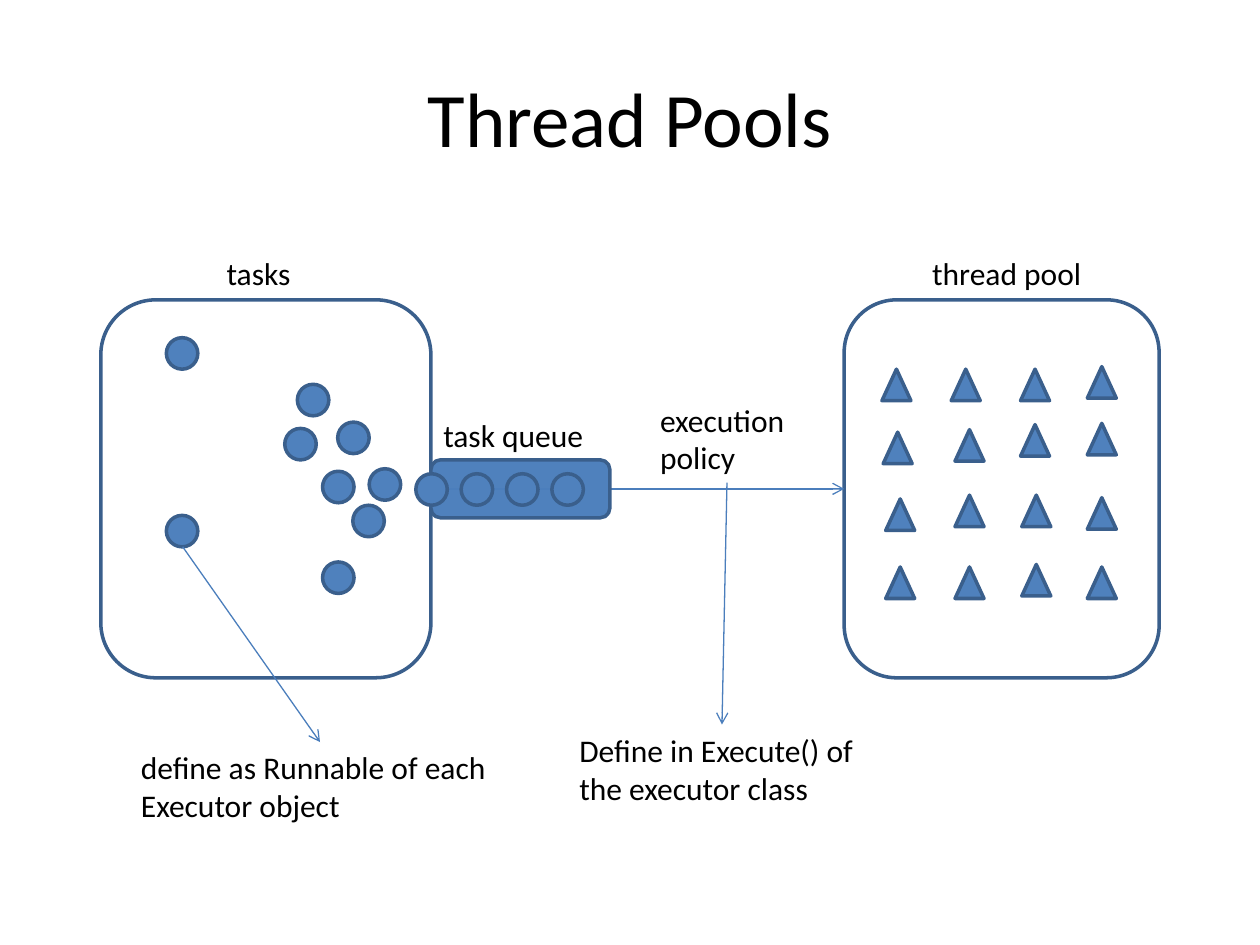
from dataclasses import dataclass

from lxml import etree
from pptx import Presentation
from pptx.dml.color import RGBColor
from pptx.enum.shapes import MSO_CONNECTOR, MSO_SHAPE
from pptx.enum.text import MSO_ANCHOR, MSO_AUTO_SIZE, PP_ALIGN
from pptx.oxml.ns import qn
from pptx.util import Inches, Pt

ROUNDED = MSO_SHAPE.ROUNDED_RECTANGLE
CIRCLE = MSO_SHAPE.OVAL
TRIANGLE = MSO_SHAPE.ISOSCELES_TRIANGLE
STRAIGHT = MSO_CONNECTOR.STRAIGHT
FIT_TEXT = MSO_AUTO_SIZE.SHAPE_TO_FIT_TEXT
CENTER = PP_ALIGN.CENTER
MIDDLE = MSO_ANCHOR.MIDDLE


@dataclass(frozen=True)
class Theme:
    font: str = "Calibri"
    title_size: int = 44
    label_size: int = 18
    text: RGBColor = RGBColor(0, 0, 0)
    fill: RGBColor = RGBColor(0x4F, 0x81, 0xBD)
    outline: RGBColor = RGBColor(0x3A, 0x5F, 0x8C)
    arrow: RGBColor = RGBColor(0x4B, 0x7E, 0xBC)
    outline_width: float = 2
    arrow_width: float = 0.75


@dataclass(frozen=True)
class Box:
    left: float
    top: float
    width: float
    height: float

    def lengths(self) -> list:
        return [Inches(value) for value in (self.left, self.top, self.width, self.height)]


@dataclass(frozen=True)
class Label:
    box: Box
    lines: tuple
    wrap: bool = False


@dataclass(frozen=True)
class Arrow:
    start: tuple
    end: tuple


THEME = Theme()
CIRCLE_SIZE = (0.25, 0.25)
TRIANGLE_SIZE = (0.23, 0.25)

TASKS_BOX = Box(0.8, 2.38, 2.62, 3)
POOL_BOX = Box(6.7, 2.38, 2.5, 3)
QUEUE_BOX = Box(3.42, 3.65, 1.42, 0.46)

# Loosely scattered tasks, as left and top
TASKS = [
    (2.26, 3.4), (1.32, 2.68), (2.56, 3.74), (1.32, 4.09), (2.68, 3.35),
    (2.8, 4.01), (2.93, 3.72), (2.36, 3.05), (2.56, 4.46),
]
QUEUED_TASKS = [(3.3 + 0.36 * index, 3.76) for index in range(4)]

# Four uneven rows of threads
THREADS = [
    (7, 2.93), (7.55, 2.93), (8.1, 2.93), (8.63, 2.91),
    (7.01, 3.43), (7.58, 3.41), (8.1, 3.37), (8.63, 3.36),
    (7.03, 3.96), (7.58, 3.93), (8.11, 3.93), (8.63, 3.95),
    (7.03, 4.5), (7.58, 4.5), (8.11, 4.48), (8.63, 4.5),
]

LABELS = [
    Label(Box(1.7, 1.97, 0.71, 0.4), ("tasks",)),
    Label(Box(7.3, 1.97, 1.4, 0.4), ("thread pool",)),
    Label(Box(3.42, 3.25, 2.17, 0.4), ("task queue",), wrap=True),
    Label(Box(5.14, 3.13, 1.26, 0.71), ("execution ", "policy")),
    Label(Box(1.02, 5.89, 3.03, 0.71), ("define as Runnable of each ", "Executor object ")),
    Label(Box(4.5, 5.75, 2.46, 0.71), ("Define in Execute() of ", "the executor class")),
]

ARROWS = [
    Arrow((4.83, 3.88), (6.7, 3.88)),
    Arrow((1.45, 4.34), (2.54, 5.89)),
    Arrow((5.77, 3.83), (5.73, 5.75)),
]
QUEUE_ARROW = Arrow((3.43, 3.88), (4.5, 3.88))


def format_paragraph(paragraph, size: int) -> None:
    formats = {"name": THEME.font, "size": Pt(size), "bold": False}
    for name, value in formats.items():
        setattr(paragraph.font, name, value)
    paragraph.font.color.rgb = THEME.text


def draw_shape(slide, kind, box: Box, filled: bool = True) -> None:
    shape = slide.shapes.add_shape(kind, *box.lengths())
    shape.shadow.inherit = False
    if filled:
        shape.fill.solid()
        shape.fill.fore_color.rgb = THEME.fill
    else:
        shape.fill.background()
    shape.line.color.rgb = THEME.outline
    shape.line.width = Pt(THEME.outline_width)


def draw_markers(slide, kind, places: list, size: tuple) -> None:
    for place in places:
        draw_shape(slide, kind, Box(*place, *size))


def draw_label(slide, label: Label) -> None:
    frame = slide.shapes.add_textbox(*label.box.lengths()).text_frame
    frame.text = "\n".join(label.lines)
    formats = {"word_wrap": label.wrap, "auto_size": FIT_TEXT}
    for name, value in formats.items():
        setattr(frame, name, value)
    for paragraph in frame.paragraphs:
        format_paragraph(paragraph, THEME.label_size)


def draw_arrow(slide, arrow: Arrow) -> None:
    points = [Inches(value) for value in (*arrow.start, *arrow.end)]
    connector = slide.shapes.add_connector(STRAIGHT, *points)
    connector.line.color.rgb = THEME.arrow
    connector.line.width = Pt(THEME.arrow_width)
    properties = connector.element.spPr
    etree.SubElement(properties.find(qn("a:ln")), qn("a:tailEnd"), type="arrow")
    etree.SubElement(properties, qn("a:effectLst"))


def draw_title(slide, text: str) -> None:
    title = slide.shapes.title
    names = ("left", "top", "width", "height")
    for name, value in zip(names, Box(0.5, 0.3, 9, 1.25).lengths()):
        setattr(title, name, value)
    title.text_frame.text = text
    title.text_frame.vertical_anchor = MIDDLE
    paragraph = title.text_frame.paragraphs[0]
    paragraph.alignment = CENTER
    format_paragraph(paragraph, THEME.title_size)


presentation = Presentation()
presentation.slide_width = Inches(10)
presentation.slide_height = Inches(7.5)
slide = presentation.slides.add_slide(presentation.slide_layouts.get_by_name("Title Only"))
draw_title(slide, "Thread Pools")

# Tasks and thread pool
draw_shape(slide, ROUNDED, TASKS_BOX, filled=False)
draw_markers(slide, CIRCLE, TASKS, CIRCLE_SIZE)
draw_shape(slide, ROUNDED, POOL_BOX, filled=False)
draw_markers(slide, TRIANGLE, THREADS, TRIANGLE_SIZE)

# Arrows between the parts and to their explanations
for flow_arrow in ARROWS:
    draw_arrow(slide, flow_arrow)

# Task queue
draw_shape(slide, ROUNDED, QUEUE_BOX)
draw_arrow(slide, QUEUE_ARROW)
draw_markers(slide, CIRCLE, QUEUED_TASKS, CIRCLE_SIZE)

# Labels
for caption in LABELS:
    draw_label(slide, caption)

presentation.save("out.pptx")
